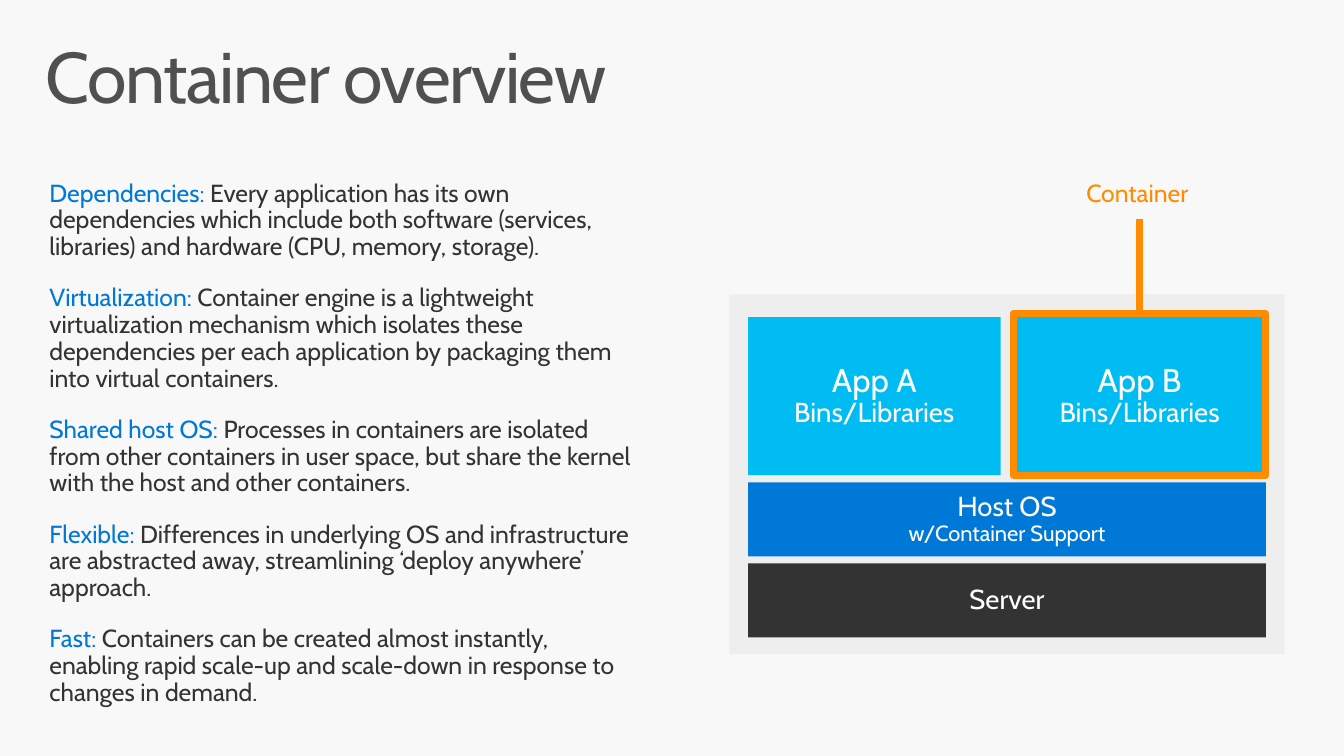
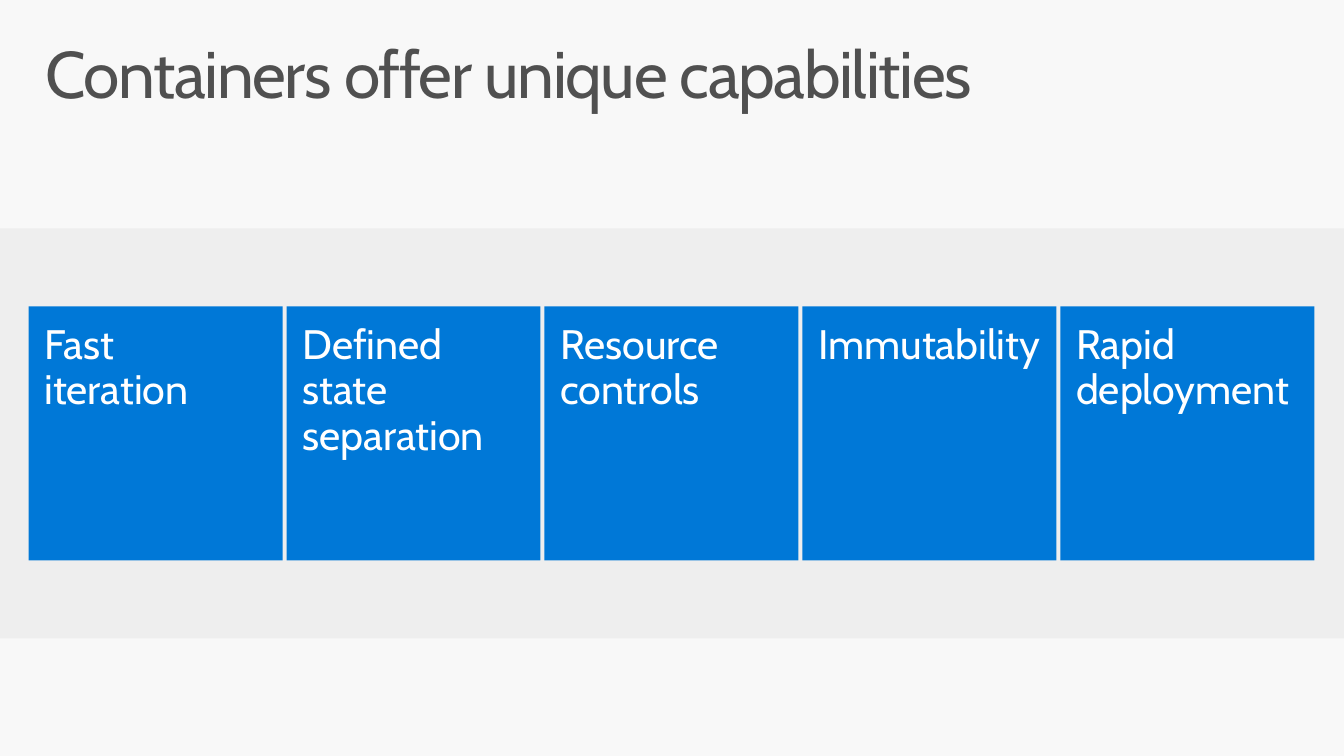
import dataclasses

import lxml.etree
import pptx
import pptx.dml.color
import pptx.enum.shapes
import pptx.enum.text
import pptx.oxml.ns
import pptx.util

Inches = pptx.util.Inches
Pt = pptx.util.Pt
ALIGN = pptx.enum.text.PP_ALIGN
ANCHOR = pptx.enum.text.MSO_ANCHOR
RECTANGLE = pptx.enum.shapes.MSO_SHAPE.RECTANGLE
STRAIGHT = pptx.enum.shapes.MSO_CONNECTOR.STRAIGHT


@dataclasses.dataclass(frozen=True)
class Theme:
    font: str = "Cabin"
    background: str = "F8F8F8"
    panel: str = "EEEEEE"
    title: str = "505050"
    dark: str = "333333"
    blue: str = "0078D7"
    cyan: str = "00BCF2"
    orange: str = "FF8C00"
    white: str = "FFFFFF"
    overview_title_size: float = 52.2
    title_size: float = 48
    tile_size: float = 30
    app_size: float = 24
    layer_size: float = 20
    body_size: float = 18
    note_size: float = 16
    tight: float = 0.9
    tile_leading: float = 33.2
    accent_line: float = 5.25


THEME = Theme()


@dataclasses.dataclass(frozen=True)
class Box:
    left: float
    top: float
    width: float
    height: float

    def inset(self, left, top, right, bottom):
        return Box(self.left + left, self.top + top,
                   self.width - left - right, self.height - top - bottom)

    def columns(self, count, gap):
        width = (self.width - gap * (count - 1)) / count
        return [Box(self.left + i * (width + gap), self.top, width, self.height)
                for i in range(count)]

    def rows(self, weights, gap):
        unit = (self.height - gap * (len(weights) - 1)) / sum(weights)
        boxes, top = [], self.top
        for weight in weights:
            boxes.append(Box(self.left, top, self.width, weight * unit))
            top += weight * unit + gap
        return boxes

    def lengths(self):
        return [Inches(value) for value in dataclasses.astuple(self)]


PAGE = Box(0, 0, 13.6, 7.65)
TITLE = Box(0.3, 0.32, 13, 1)
BODY = Box(0.3, 1.83, 6.37, 5.53)
DIAGRAM = Box(7.38, 2.98, 5.62, 3.64)
BAND = Box(0, 2.31, PAGE.width, 4.15)

BENEFITS = [
    ("Dependencies: ", "Every application has its own dependencies which include both "
     "software (services, libraries) and hardware (CPU, memory, storage)."),
    ("Virtualization: ", "Container engine is a lightweight virtualization mechanism which "
     "isolates these dependencies per each application by packaging them into virtual "
     "containers."),
    ("Shared host OS: ", "Processes in containers are isolated from other containers in user "
     "space, but share the kernel with the host and other containers."),
    ("Flexible: ", "Differences in underlying OS and infrastructure are abstracted away, "
     "streamlining ‘deploy anywhere’ approach."),
    ("Fast: ", "Containers can be created almost instantly, enabling rapid scale-up and "
     "scale-down in response to changes in demand."),
]
CAPABILITIES = ["Fast\niteration", "Defined state separation", "Resource controls",
                "Immutability", "Rapid deployment"]


def rgb(value):
    return pptx.dml.color.RGBColor.from_string(value)


def write(frame, paragraphs, *, margins=(0, 0), anchor=ANCHOR.TOP, align=ALIGN.LEFT,
          leading=THEME.tight, before=0, after=0, tracking=0, wrap=True, plain_list=False):
    """Fill a frame; each paragraph is a list of (text, size, colour) spans."""
    frame.word_wrap = wrap
    frame.auto_size = pptx.enum.text.MSO_AUTO_SIZE.NONE
    frame.vertical_anchor = anchor
    frame.margin_left = frame.margin_right = Inches(margins[0])
    frame.margin_top = frame.margin_bottom = Inches(margins[1])
    for index, spans in enumerate(paragraphs):
        para = frame.add_paragraph() if index else frame.paragraphs[0]
        para.alignment = align
        para.line_spacing = leading
        para.space_before = Pt(before if index else 0)
        para.space_after = Pt(after)
        if plain_list:
            properties = para._p.get_or_add_pPr()
            properties.set("marL", "0")
            properties.set("indent", "0")
            lxml.etree.SubElement(properties, pptx.oxml.ns.qn("a:buNone"))
        for text, size, color in spans:
            for number, line in enumerate(text.split("\n")):
                if number:
                    para.add_line_break()
                span = para.add_run()
                span.text = line
                span.font.name = THEME.font
                span.font.size = Pt(size)
                span.font.color.rgb = rgb(color)
                if tracking:
                    span._r.get_or_add_rPr().set("spc", str(round(tracking * 100)))


def add_rectangle(shapes, box, fill=None, line=None):
    shape = shapes.add_shape(RECTANGLE, *box.lengths())
    shape.shadow.inherit = False
    if fill:
        shape.fill.solid()
        shape.fill.fore_color.rgb = rgb(fill)
    else:
        shape.fill.background()
    if line:
        shape.line.color.rgb = rgb(line)
        shape.line.width = Pt(THEME.accent_line)
    else:
        shape.line.fill.background()
    return shape


def place(placeholder, box):
    (placeholder.left, placeholder.top,
     placeholder.width, placeholder.height) = box.lengths()
    return placeholder.text_frame


def add_page(deck, layout, title, size):
    page = deck.slides.add_slide(deck.slide_layouts.get_by_name(layout))
    write(place(page.shapes.title, TITLE), [[(title, size, THEME.title)]],
          margins=(0.16, 0.1), tracking=-1)
    return page


def add_layer(page, box, fill, name, size, note="", note_size=0):
    """Add one block of the stack: a name and, under it, a smaller note."""
    shape = add_rectangle(page.shapes, box, fill)
    spans = [(name, size, THEME.white)]
    if note:
        spans.append(("\n" + note, note_size, THEME.white))
    write(shape.text_frame, [spans], margins=(0.2, 0.16),
          anchor=ANCHOR.MIDDLE, align=ALIGN.CENTER)


def add_callout(page, target, text):
    """Frame the target and join the frame to a label above it."""
    frame = add_rectangle(page.shapes, target.inset(0, -0.04, 0, 0), line=THEME.orange)
    center = target.left + target.width / 2
    label = page.shapes.add_textbox(
        *Box(center - 0.54, target.top - 1.38, 1.08, 0.27).lengths())
    write(label.text_frame, [[(text, THEME.body_size, THEME.orange)]], wrap=False)
    x = Inches(center)
    stem = page.shapes.add_connector(STRAIGHT, x, Inches(target.top - 0.99), x, frame.top)
    stem.end_connect(frame, 0)
    stem.line.color.rgb = rgb(THEME.orange)
    stem.line.width = Pt(THEME.accent_line)
    lxml.etree.SubElement(stem._element.spPr, pptx.oxml.ns.qn("a:effectLst"))


def add_stack(page, box):
    add_rectangle(page.shapes, box, THEME.panel)
    apps, host, server = box.inset(0.19, 0.23, 0.19, 0.17).rows((1.6, 0.75, 0.75), 0.07)
    app_boxes = apps.columns(2, 0.13)
    for app_box, name in zip(app_boxes, ("App A", "App B")):
        add_layer(page, app_box, THEME.cyan, name, THEME.app_size,
                  "Bins/Libraries", THEME.layer_size)
    add_layer(page, host, THEME.blue, "Host OS", THEME.layer_size,
              "w/Container Support", THEME.note_size)
    add_layer(page, server, THEME.dark, "Server", THEME.layer_size)
    add_callout(page, app_boxes[1], "Container")


def add_overview(deck):
    page = add_page(deck, "Title and Content", "Container overview",
                    THEME.overview_title_size)
    paragraphs = [[(term, THEME.body_size, THEME.blue),
                   (meaning, THEME.body_size, THEME.dark)] for term, meaning in BENEFITS]
    write(place(page.placeholders[1], BODY), paragraphs, margins=(0.2, 0),
          before=6, after=12, plain_list=True)
    add_stack(page, DIAGRAM)


def add_tiles(page, box):
    add_rectangle(page.shapes, box, THEME.panel)
    group = page.shapes.add_group_shape()
    tiles = box.inset(0.29, 0.79, 0.3, 0.79).columns(len(CAPABILITIES), 0.04)
    for tile, text in zip(tiles, CAPABILITIES):
        shape = add_rectangle(group.shapes, tile, THEME.blue)
        write(shape.text_frame, [[(text, THEME.tile_size, THEME.white)]],
              margins=(0.16, 0.16), leading=Pt(THEME.tile_leading))


def add_capabilities(deck):
    page = add_page(deck, "Title Only", "Containers offer unique capabilities",
                    THEME.title_size)
    add_tiles(page, BAND)


def main():
    deck = pptx.Presentation()
    deck.slide_width, deck.slide_height = Inches(PAGE.width), Inches(PAGE.height)
    background = deck.slide_master.background.fill
    background.solid()
    background.fore_color.rgb = rgb(THEME.background)
    add_overview(deck)
    add_capabilities(deck)
    deck.save("out.pptx")


if __name__ == "__main__":
    main()
